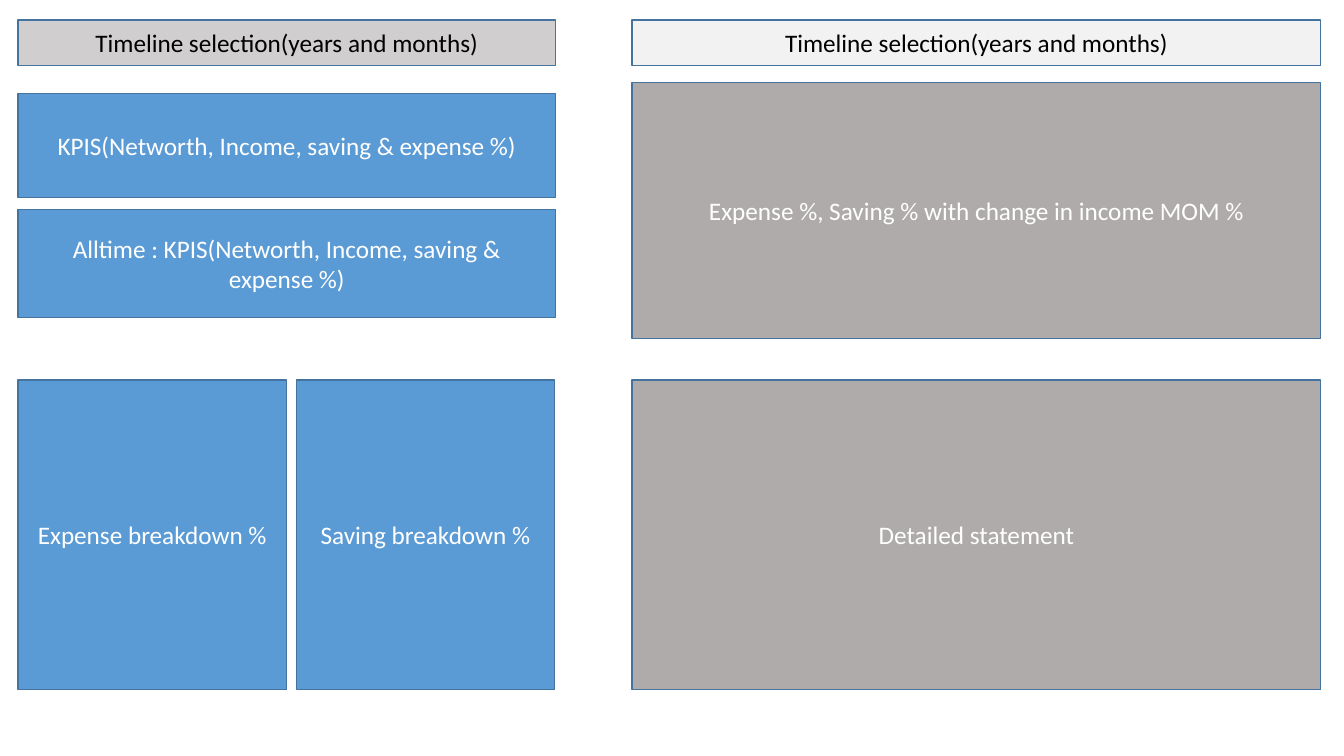
from pptx import Presentation
from pptx.dml.color import RGBColor
from pptx.enum.shapes import MSO_SHAPE
from pptx.enum.text import MSO_ANCHOR, PP_ALIGN
from pptx.util import Inches, Pt

RECT = MSO_SHAPE.RECTANGLE
MIDDLE = MSO_ANCHOR.MIDDLE
CENTER = PP_ALIGN.CENTER

COLORS = {
    "blue": "5B9BD5",
    "edge": "43739E",
    "gray": "AFABAB",
    "silver": "D0CECE",
    "pale": "F2F2F2",
    "white": "FFFFFF",
    "black": "000000",
}
FONT = {"name": "Calibri", "size": Pt(18)}
FRAME = {"word_wrap": True, "vertical_anchor": MIDDLE}

LEFT, LEFT_WIDTH = 0.18, 5.33
RIGHT, RIGHT_WIDTH = 6.27, 6.83
HEAD = (0.2, 0.45)
BASE = (3.77, 3.07)
TIMELINE = "Timeline selection(years and months)"

# Text, left, width, (top, height), fill, ink
PANELS = [
    ("KPIS(Networth, Income, saving & expense %)",
     LEFT, LEFT_WIDTH, (0.93, 1.03), "blue", "white"),
    (TIMELINE, RIGHT, RIGHT_WIDTH, HEAD, "pale", "black"),
    ("Alltime : KPIS(Networth, Income, saving & expense %)",
     LEFT, LEFT_WIDTH, (2.08, 1.07), "blue", "white"),
    (TIMELINE, LEFT, LEFT_WIDTH, HEAD, "silver", "black"),
    ("Expense breakdown %", LEFT, 2.66, BASE, "blue", "white"),
    ("Saving breakdown %", 2.94, 2.56, BASE, "blue", "white"),
    ("Expense %, Saving % with change in income MOM %",
     RIGHT, RIGHT_WIDTH, (0.82, 2.54), "gray", "white"),
    ("Detailed statement", RIGHT, RIGHT_WIDTH, BASE, "gray", "white"),
]


def apply(target, values):
    """Set each named attribute of target."""
    for name, value in values.items():
        setattr(target, name, value)


class Board:
    """Holds the current slide and the style of its panels."""

    def __init__(self, slide):
        self.slide = slide
        self.colors = {k: RGBColor.from_string(v) for k, v in COLORS.items()}

    def panel(self, text, left, width, band, fill, ink):
        top, height = band
        box = self.slide.shapes.add_shape(
            RECT, Inches(left), Inches(top), Inches(width), Inches(height))
        box.shadow.inherit = False
        box.fill.solid()
        box.fill.fore_color.rgb = self.colors[fill]
        box.line.color.rgb = self.colors["edge"]
        box.line.width = Pt(1)
        apply(box.text_frame, FRAME)
        para = box.text_frame.paragraphs[0]
        para.alignment = CENTER
        run = para.add_run()
        run.text = text
        apply(run.font, FONT)
        run.font.color.rgb = self.colors[ink]


def main():
    deck = Presentation()
    deck.slide_width, deck.slide_height = Inches(13.33), Inches(7.5)
    board = Board(deck.slides.add_slide(deck.slide_layouts[6]))
    for panel in PANELS:
        board.panel(*panel)
    deck.save("out.pptx")


if __name__ == "__main__":
    main()
